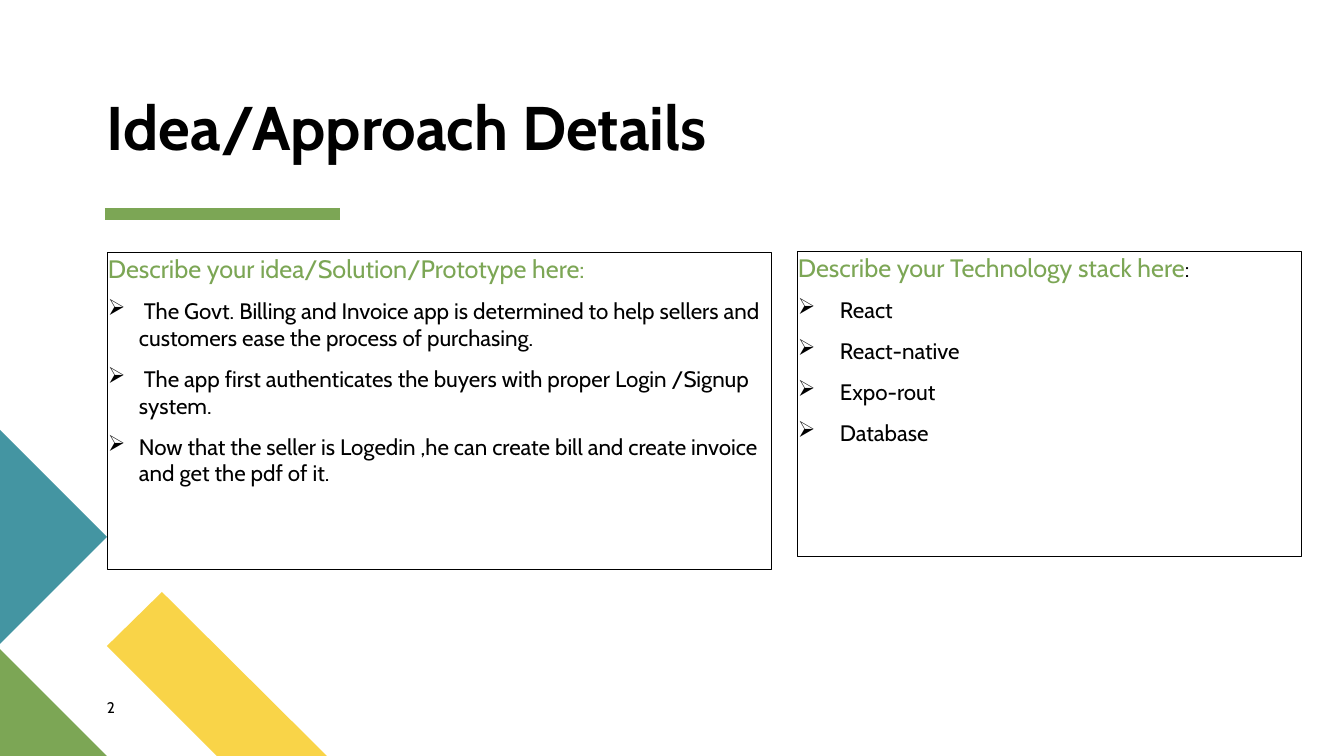
from lxml import etree
from pptx import Presentation
from pptx import util as u
from pptx.dml.color import RGBColor
from pptx.enum import shapes, text
from pptx.oxml.ns import qn

PX = 12192000 / 1344  # EMU in one px
FONT = "Cabin"
BULLET = "➢"
BLACK = RGBColor(0x00, 0x00, 0x00)
GREEN = RGBColor(0x7C, 0xA6, 0x55)
TEAL = RGBColor(0x44, 0x95, 0xA2)
YELLOW = RGBColor(0xF9, 0xD4, 0x48)

CORNER_PIECES = [
    (YELLOW, [(327, 756), (217, 756), (107, 646), (162, 592)]),
    (GREEN, [(107, 756), (0, 756), (0, 649)]),
    (TEAL, [(0, 430), (107, 537), (0, 644)]),
]
ACCENT = (105, 214, 340, 214)
TITLE = ("Idea/Approach Details", (107, 97, 610, 67))
PAGE_NUMBER = ("2", (107, 698, 57, 27))
PANELS = [
    {
        "box": (108, 253, 664, 317),
        "heading": [("Describe your idea/Solution/Prototype here:", 18, GREEN)],
        "indent": 31,
        "points": [
            " The Govt. Billing and Invoice app is determined to help sellers"
            " and customers ease the process of purchasing.",
            " The app first authenticates the buyers with proper Login /Signup system.",
            "Now that the seller is Logedin ,he can create bill and create invoice"
            " and get the pdf of it.",
        ],
    },
    {
        "box": (798, 252, 504, 305),
        "heading": [("Describe your Technology stack here", 18, GREEN), (":", 16, BLACK)],
        "indent": 42,
        "points": ["React", "React-native", "Expo-rout", "Database"],
    },
]


def px(*lengths):
    return [u.Emu(round(n * PX)) for n in lengths]


def style(font, size, color, bold=False):
    font.name, font.size, font.bold = FONT, u.Pt(size), bold
    font.color.rgb = color


def prepare(frame, anchor):
    """Wrap the text, drop the margins and set the anchor."""
    frame.word_wrap = True
    frame.vertical_anchor = anchor
    frame.margin_left = frame.margin_right = frame.margin_top = frame.margin_bottom = 0


def add_label(slide, wording, box, size, bold=False, anchor=text.MSO_ANCHOR.TOP):
    frame = slide.shapes.add_textbox(*px(*box)).text_frame
    prepare(frame, anchor)
    line = frame.paragraphs[0]
    line.text = wording
    style(line.font, size, BLACK, bold)
    return line


def add_bullet(paragraph, indent):
    props = paragraph._p.get_or_add_pPr()
    props.set("marL", str(indent))
    props.set("indent", str(-indent))
    etree.SubElement(props, qn("a:buChar")).set("char", BULLET)


def add_corner_piece(slide, color, corners):
    builder = slide.shapes.build_freeform(*corners[0], scale=PX)
    builder.add_line_segments(corners[1:], close=True)
    piece = builder.convert_to_shape()
    piece.shadow.inherit = False
    piece.fill.solid()
    piece.fill.fore_color.rgb = color
    piece.line.fill.background()


def add_accent(slide):
    accent = slide.shapes.add_connector(shapes.MSO_CONNECTOR.STRAIGHT, *px(*ACCENT))
    accent.line.color.rgb = GREEN
    accent.line.width = u.Pt(8)
    etree.SubElement(accent._element.spPr, qn("a:effectLst"))


def add_panel(slide, panel):
    frame_box = slide.shapes.add_shape(shapes.MSO_SHAPE.RECTANGLE, *px(*panel["box"]))
    frame_box.shadow.inherit = False
    frame_box.fill.background()
    frame_box.line.color.rgb = BLACK
    frame_box.line.width = u.Pt(0.75)
    frame = frame_box.text_frame
    prepare(frame, text.MSO_ANCHOR.TOP)

    heading = frame.paragraphs[0]
    heading.alignment = text.PP_ALIGN.LEFT
    for wording, size, color in panel["heading"]:
        part = heading.add_run()
        part.text = wording
        style(part.font, size, color)

    for wording in panel["points"]:
        point = frame.add_paragraph()
        point.text = wording
        point.alignment = text.PP_ALIGN.LEFT
        point.space_before = u.Pt(10)
        add_bullet(point, px(panel["indent"])[0])
        style(point.font, 16, BLACK)


def main():
    deck = Presentation()
    deck.slide_width, deck.slide_height = px(1344, 756)
    slide = deck.slides.add_slide(deck.slide_layouts[6])

    for color, corners in CORNER_PIECES:
        add_corner_piece(slide, color, corners)
    add_accent(slide)
    title = add_label(slide, *TITLE, 44, bold=True, anchor=text.MSO_ANCHOR.BOTTOM)
    title.line_spacing = 0.9
    for panel in PANELS:
        add_panel(slide, panel)
    add_label(slide, *PAGE_NUMBER, 11)
    deck.save("out.pptx")


if __name__ == "__main__":
    main()
